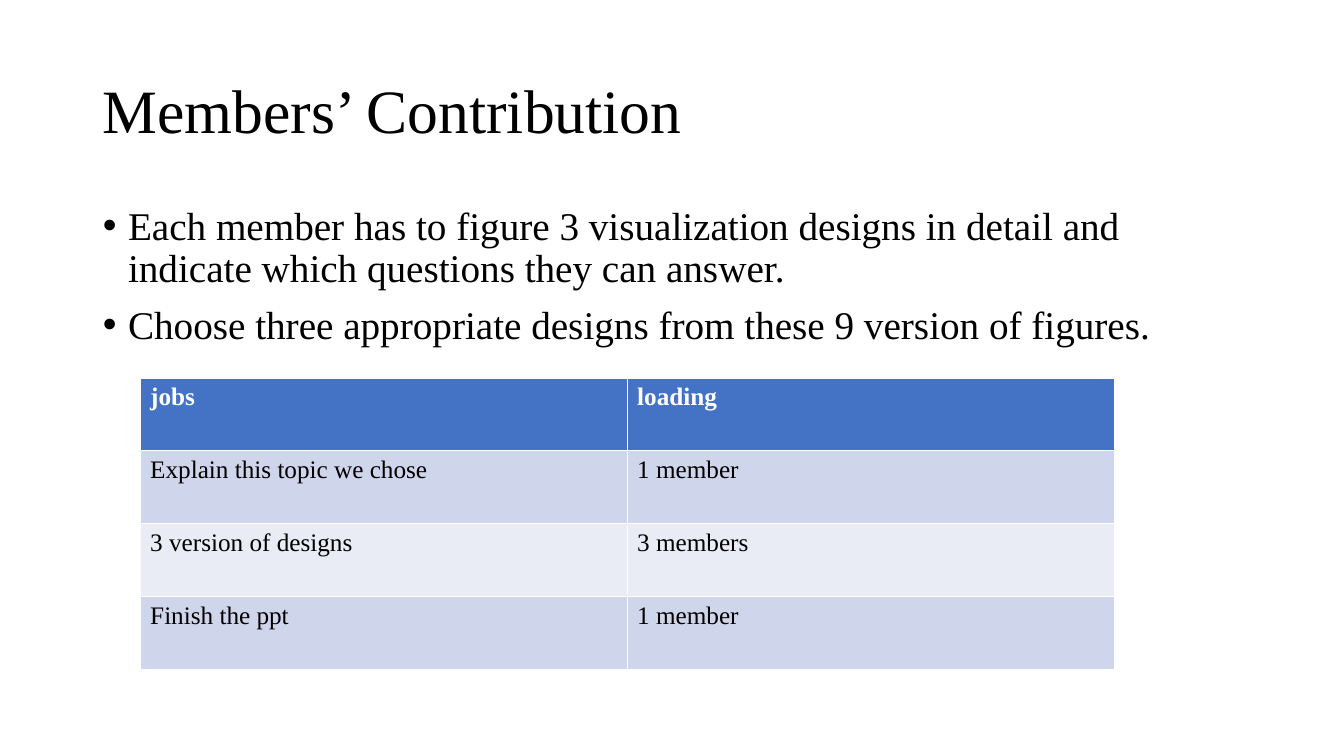
from pptx import Presentation
from pptx.dml.color import RGBColor
from pptx.enum.text import MSO_ANCHOR as Anchor, MSO_AUTO_SIZE as AutoSize, PP_ALIGN as Align
from pptx.util import Inches, Pt

COLORS = {"text": "000000", "header": "4472C4", "header_text": "FFFFFF",
          "band_dark": "CFD5EA", "band_light": "E9EBF5"}


def place(shape, left, top, width, height):
    box = {"left": left, "top": top, "width": width, "height": height}
    for name, value in box.items():
        setattr(shape, name, Inches(value))


def write(paragraph, text, size, color="text", bold=False):
    run = paragraph.add_run()
    run.text = text
    font_format = {"name": "Times New Roman", "size": Pt(size), "bold": bold}
    for name, value in font_format.items():
        setattr(run.font, name, value)
    run.font.color.rgb = RGBColor.from_string(COLORS[color])


presentation = Presentation()
presentation.slide_width = Inches(13.33)
presentation.slide_height = Inches(7.5)
slide = presentation.slides.add_slide(presentation.slide_layouts[1])

# Title
title = slide.shapes.title
place(title, 0.92, 0.4, 11.5, 1.45)
title.text_frame.auto_size = AutoSize.NONE
title.text_frame.vertical_anchor = Anchor.MIDDLE
heading = title.text_frame.paragraphs[0]
heading.alignment = Align.LEFT
heading.line_spacing = 0.9
write(heading, "Members’ Contribution", 44)

# Bullet list
body = slide.placeholders[1]
place(body, 0.92, 2, 11.5, 4.76)
body.text_frame.auto_size = AutoSize.NONE
bullets = [
    "Each member has to figure 3 visualization designs in detail and indicate which questions they can answer.",
    "Choose three appropriate designs from these 9 version of figures.",
]
bullet_format = {"line_spacing": 0.9, "space_before": Pt(10), "alignment": Align.LEFT}
for index, bullet in enumerate(bullets):
    paragraph = body.text_frame.paragraphs[0] if index == 0 else body.text_frame.add_paragraph()
    for name, value in bullet_format.items():
        setattr(paragraph, name, value)
    write(paragraph, bullet, 28)
    properties = paragraph._p.get_or_add_pPr()
    properties.set("marL", str(Inches(0.25)))
    properties.set("indent", str(Inches(-0.25)))

# Workload table; its default style draws the white borders
workload = [
    ("jobs", "loading"),
    ("Explain this topic we chose", "1 member"),
    ("3 version of designs", "3 members"),
    ("Finish the ppt", "1 member"),
]
table = slide.shapes.add_table(len(workload), 2, Inches(1.39), Inches(3.75),
                               Inches(9.66), Inches(2.89)).table
for row_index, row in enumerate(workload):
    is_header = row_index == 0
    fill = "header" if is_header else "band_dark" if row_index % 2 else "band_light"
    for column_index, text in enumerate(row):
        cell = table.cell(row_index, column_index)
        cell.fill.solid()
        cell.fill.fore_color.rgb = RGBColor.from_string(COLORS[fill])
        write(cell.text_frame.paragraphs[0], text, 18,
              "header_text" if is_header else "text", is_header)

presentation.save("out.pptx")
